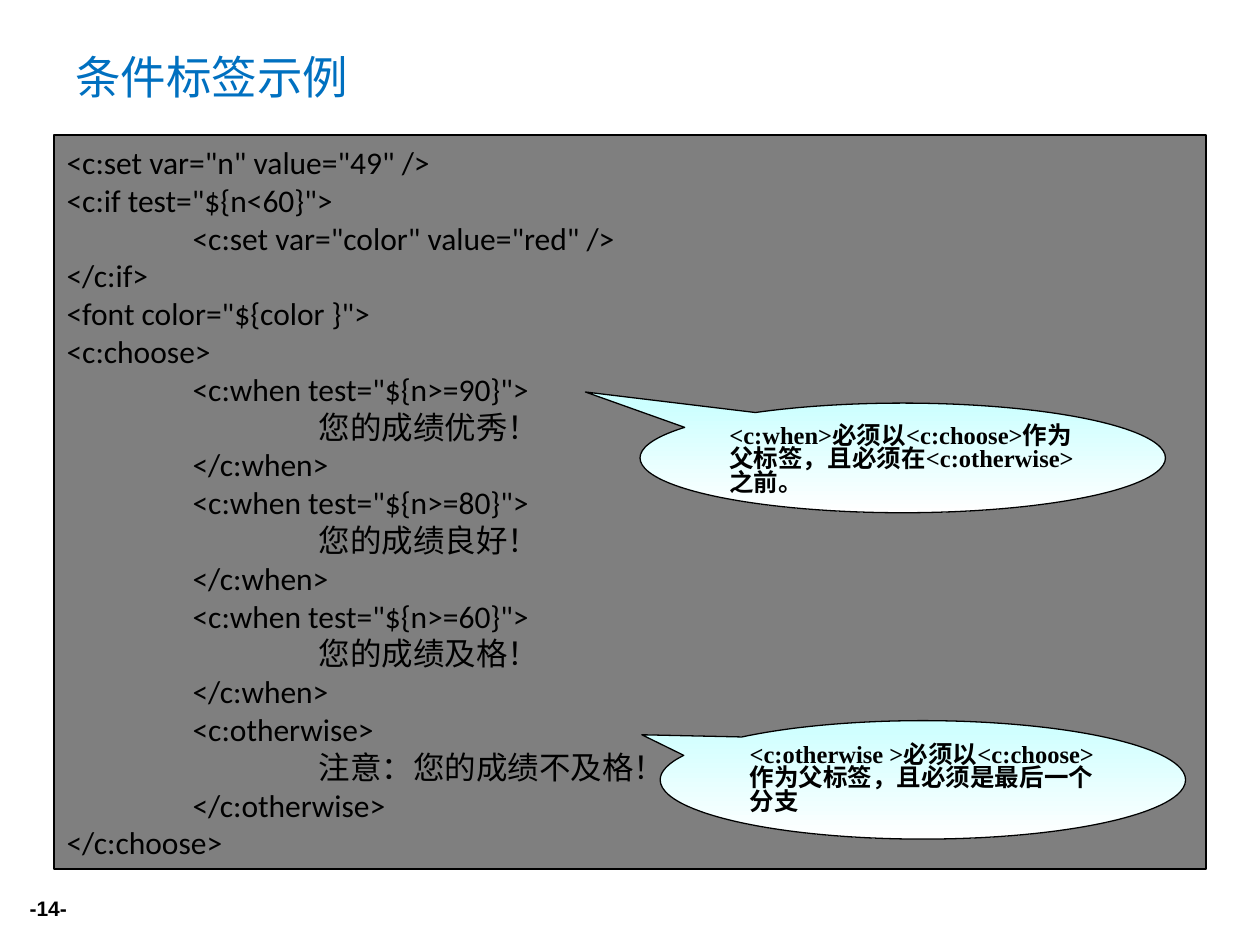
"""Build the slide on conditional JSTL tags with its code panel and notes."""
from lxml.etree import SubElement
from pptx import Presentation
from pptx.dml.color import RGBColor
from pptx.enum.shapes import MSO_SHAPE as Shape
from pptx.enum.text import MSO_ANCHOR as Anchor, PP_ALIGN as Align
from pptx.oxml.ns import qn
from pptx.util import Inches, Pt

BLACK = RGBColor(0x00, 0x00, 0x00)
BLUE = RGBColor(0x00, 0x70, 0xC0)
GRAY = RGBColor(0x7F, 0x7F, 0x7F)
CYAN = RGBColor(0xCC, 0xFF, 0xFF)
WHITE = RGBColor(0xFF, 0xFF, 0xFF)

CODE = """<c:set var="n" value="49" />
<c:if test="${n<60}">
\t<c:set var="color" value="red" />
</c:if>
<font color="${color }">
<c:choose>
\t<c:when test="${n>=90}">
 \t\t您的成绩优秀！
\t</c:when>
\t<c:when test="${n>=80}">
 \t\t您的成绩良好！
\t</c:when>
\t<c:when test="${n>=60}">
 \t\t您的成绩及格！
\t</c:when>
\t<c:otherwise>
\t\t注意：您的成绩不及格！
\t</c:otherwise>
</c:choose>"""

CALLOUTS = [
    ((5.24, 5.72, 4.17, 0.94), (-0.535, -0.381),
     "<c:otherwise >必须以<c:choose>作为父标签，且必须是最后一个分支"),
    ((5.08, 3.2, 4.17, 0.87), (-0.604, -0.602),
     "<c:when>必须以<c:choose>作为父标签，且必须在<c:otherwise>之前。"),
]


def add_tab_stops(paragraph):
    tab_stops = SubElement(paragraph._p.get_or_add_pPr(), qn("a:tabLst"))
    for inch in range(8):
        SubElement(tab_stops, qn("a:tab"), pos=str(Inches(inch)), algn="l")


def write(holder, text, *, size, font, color=BLACK, bold=False,
          align=Align.LEFT, anchor=Anchor.MIDDLE, spacing=None):
    frame = holder.text_frame
    frame.word_wrap = True
    frame.vertical_anchor = anchor
    for index, line in enumerate(text.split("\n")):
        paragraph = frame.add_paragraph() if index else frame.paragraphs[0]
        add_tab_stops(paragraph)
        paragraph.alignment = align
        paragraph.line_spacing = spacing
        run = paragraph.add_run()
        run.text = line
        run.font.size = Pt(size)
        run.font.name = font
        run.font.bold = bold
        run.font.color.rgb = color


def add_label(slide, box, text, **style):
    label = slide.shapes.add_textbox(*map(Inches, box))
    write(label, text, **style)


def add_outlined(slide, kind, box, line_width):
    outlined = slide.shapes.add_shape(kind, *map(Inches, box))
    outlined.shadow.inherit = False
    outlined.line.color.rgb = BLACK
    outlined.line.width = Pt(line_width)
    return outlined


def add_code_panel(slide, box, code):
    panel = add_outlined(slide, Shape.RECTANGLE, box, 1)
    panel.fill.solid()
    panel.fill.fore_color.rgb = GRAY
    write(panel, code, size=18, font="Calibri")


def add_callout(slide, box, tip, text):
    callout = add_outlined(slide, Shape.OVAL_CALLOUT, box, 0.75)
    for index, offset in enumerate(tip):
        callout.adjustments[index] = offset
    callout.fill.gradient()
    callout.fill.gradient_angle = 270
    for stop, color in zip(callout.fill.gradient_stops, (CYAN, WHITE)):
        stop.color.rgb = color
    write(callout, text, size=14, font="Times New Roman", bold=True,
          anchor=Anchor.TOP, spacing=0.8)


def main():
    deck = Presentation()
    deck.slide_width, deck.slide_height = Inches(10), Inches(7.5)
    slide = deck.slides.add_slide(deck.slide_layouts[6])
    add_label(slide, (0.5, 0.3, 9, 0.61), "条件标签示例",
              size=26, font="Times New Roman", color=BLUE)
    add_label(slide, (0, 7.06, 0.63, 0.29), "-14-",
              size=12, font="Arial", bold=True, align=Align.RIGHT)
    add_code_panel(slide, (0.43, 1.07, 9.14, 5.83), CODE)
    for box, tip, text in CALLOUTS:
        add_callout(slide, box, tip, text)
    deck.save("out.pptx")


if __name__ == "__main__":
    main()
